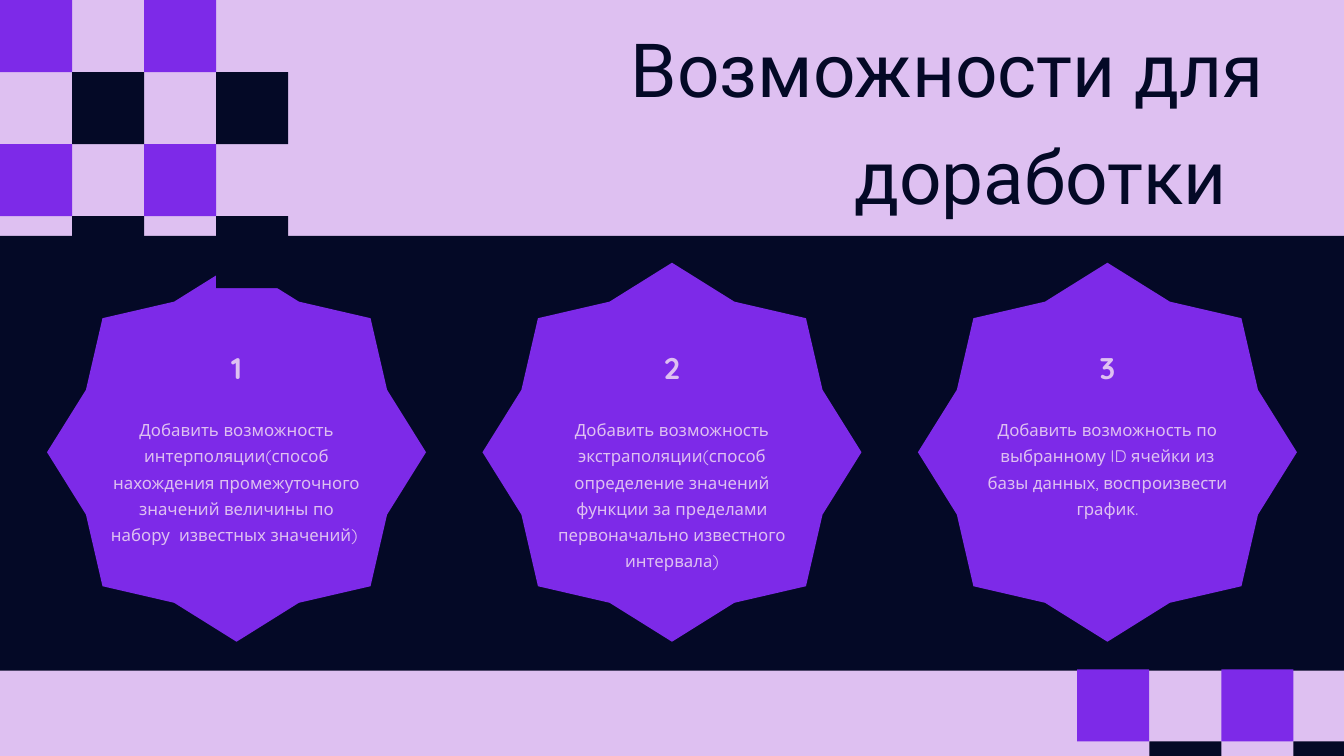
import pptx
import pptx.dml.color
import pptx.enum.shapes
import pptx.enum.text
import pptx.util

Inches = pptx.util.Inches
Shape = pptx.enum.shapes.MSO_SHAPE
Align = pptx.enum.text.PP_ALIGN

COLOURS = {"lilac": "DEC0F1", "violet": "7D2AE8", "night": "040926"}
WIDTH, HEIGHT = 20, 11.25
CELL = 4.29 / 4
STAR_SIZE, STAR_STEP = 5.64, 6.48

IDEAS = [
    "Добавить возможность интерполяции(способ нахождения промежуточного "
    "значений величины по набору  известных значений) ",
    "Добавить возможность экстраполяции(способ определение значений функции "
    "за пределами первоначально известного интервала)",
    "Добавить возможность по выбранному ID ячейки из базы данных, "
    "воспроизвести график.",
]


def colour(name):
    return pptx.dml.color.RGBColor.from_string(COLOURS[name])


def add_filled(page, kind, box, fill):
    shape = page.shapes.add_shape(kind, *map(Inches, box))
    shape.shadow.inherit = False
    shape.fill.solid()
    shape.fill.fore_color.rgb = colour(fill)
    shape.line.fill.background()
    return shape


def add_text(page, text, box, *, size, font="Quicksand", ink="lilac",
             bold=False, align=Align.CENTER, spacing=1.3):
    frame = page.shapes.add_textbox(*map(Inches, box)).text_frame
    frame.word_wrap = True
    frame.margin_left = frame.margin_right = 0
    frame.margin_top = frame.margin_bottom = 0
    para = frame.paragraphs[0]
    para.alignment = align
    para.line_spacing = spacing
    span = para.add_run()
    span.text = text
    span.font.name = font
    span.font.size = pptx.util.Pt(size)
    span.font.bold = bold
    span.font.color.rgb = colour(ink)


def add_checkerboard(page, left, top, rows, columns):
    """Violet cells on even rows, dark cells on odd rows, gaps between."""
    for row in range(rows):
        fill = "night" if row % 2 else "violet"
        for column in range(row % 2, columns, 2):
            box = (left + column * CELL, top + row * CELL, CELL, CELL)
            add_filled(page, Shape.RECTANGLE, box, fill)


def add_idea(page, box, number, idea):
    left, top, width, height = box
    star = add_filled(page, Shape.STAR_8_POINT, box, "violet")
    star.adjustments[0] = 0.43
    middle = left + width / 2
    body_width, number_width = 3.77, 3.4
    add_text(page, idea,
             (middle - body_width / 2, top + 2.25, body_width, 2.36), size=18)
    add_text(page, str(number),
             (middle - number_width / 2, top + 1.13, number_width, 0.7),
             size=32, bold=True)


def add_ideas_band(page, box):
    left, top, width, height = box
    add_filled(page, Shape.RECTANGLE, box, "night")
    first = left + (width - STAR_SIZE - STAR_STEP * (len(IDEAS) - 1)) / 2
    for index, idea in enumerate(IDEAS):
        star_box = (first + index * STAR_STEP, top + 0.4, STAR_SIZE, STAR_SIZE)
        add_idea(page, star_box, index + 1, idea)


def main():
    deck = pptx.Presentation()
    deck.slide_width, deck.slide_height = Inches(WIDTH), Inches(HEIGHT)
    page = deck.slides.add_slide(deck.slide_layouts[6])
    page.background.fill.solid()
    page.background.fill.fore_color.rgb = colour("lilac")

    add_ideas_band(page, (0, 3.51, WIDTH, 6.47))
    add_checkerboard(page, 0, 0, rows=4, columns=4)
    add_checkerboard(page, 16.03, 9.96, rows=2, columns=4)
    add_text(page, "Возможности для доработки  ", (5.34, 0.07, 13.47, 3.23),
             size=80, font="Roboto", ink="night", align=Align.RIGHT,
             spacing=1.2)
    deck.save("out.pptx")


if __name__ == "__main__":
    main()
